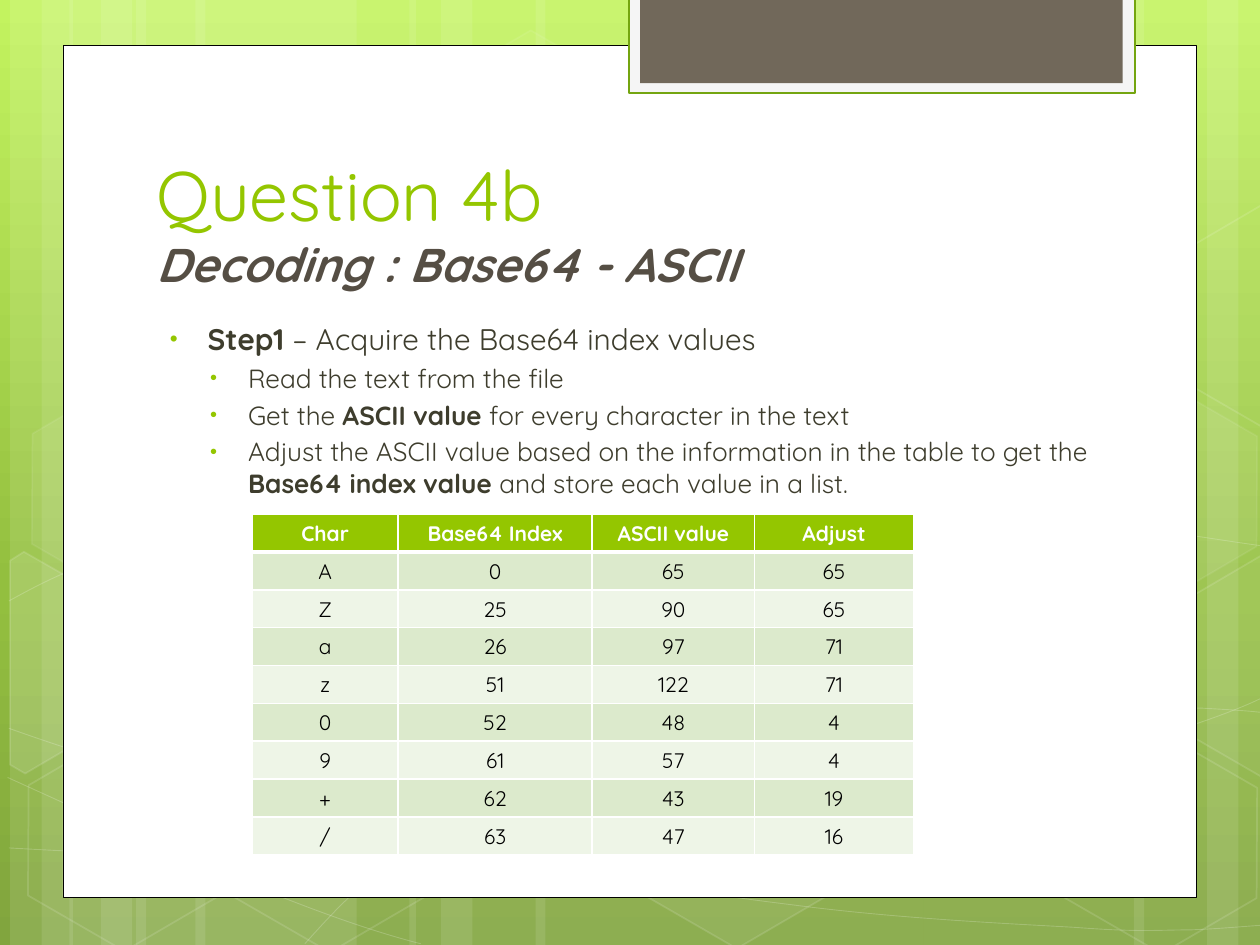
from lxml.etree import SubElement
from pptx import Presentation
from pptx.dml.color import RGBColor
from pptx.enum.shapes import MSO_SHAPE
from pptx.enum.text import MSO_ANCHOR, PP_ALIGN
from pptx.oxml.ns import qn
from pptx.util import Inches, Pt

FONT = "Quicksand"
HUE = {
    "white": "FFFFFF", "black": "000000", "lime": "94C600", "edge": "74A510",
    "pale": "F5F5F5", "tab": "71685A", "sub": "554E44", "body": "3E3D2D",
    "odd": "DCEACC", "even": "EEF5E7",
    "top": "C3F35F", "mid": "93BF3F", "base": "81A53E",
}
BARS = [(1.08, 1.75), (0.08, 0.5), (0.33, 0.83), (1.55, 1.75), (0.55, 0.5), (0.8, 0.83),
        (7.33, 1.75), (9.58, 0.5), (9, 0.83), (4.25, 3.08), (3.25, 0.5), (3.5, 0.83)]
WAVES = [
    ([(0.07, 6.73), (0.61, 6.76), (1.15, 6.79), (1.9, 6.78), (2.65, 6.77), (3.58, 6.75),
      (4.58, 6.65), (5.58, 6.55), (7, 6.36), (7.92, 6.17), (8.83, 5.98), (9.77, 5.68),
      (10.07, 5.51)], None),
    ([(0.07, 4.77), (0.36, 4.61), (0.65, 4.46), (1.21, 4.31), (1.78, 4.16), (2.59, 3.94),
      (3.47, 3.87), (4.36, 3.8), (5.44, 3.79), (6.54, 3.87), (7.64, 3.95), (9.47, 4.26),
      (10.07, 4.34)], None),
    ([(0.06, 6.17), (1.27, 6.72), (2.47, 7.27), (3.34, 7.49)], None),
    ([(0.07, 5.78), (0.38, 5.89), (0.7, 6), (1.28, 6.16), (1.86, 6.31), (2.73, 6.56),
      (3.57, 6.73), (4.4, 6.9), (5.45, 7.08), (6.28, 7.18), (7.11, 7.29), (8, 7.33),
      (8.53, 7.36), (9.05, 7.4), (9.19, 7.38), (9.45, 7.38), (9.71, 7.37), (9.89, 7.35),
      (10.07, 7.34)], None),
    ([(2.42, 7.49), (2.6, 7.29), (2.78, 7.09), (3.02, 6.91), (3.26, 6.73), (3.6, 6.53),
      (3.88, 6.39), (4.16, 6.25), (4.33, 6.19), (4.7, 6.09), (5.06, 5.99), (5.73, 5.85),
      (6.08, 5.78), (6.44, 5.71), (6.49, 5.71), (6.8, 5.69), (7.11, 5.66), (7.6, 5.63),
      (7.94, 5.62), (8.29, 5.61), (8.86, 5.62), (8.86, 5.62), (9.53, 5.62), (9.71, 5.63),
      (9.88, 5.64), (9.97, 5.65), (10.06, 5.66), (10.03, 5.65), (10.06, 5.66)], 21),
]
CELLS = [(3.34, 0.36, 4, 8), (4.97, 5.89, 6, 12), (0.11, 5.91, None, 12),
         (0.14, 3.12, 7, 8), (1.74, 5.92, None, 12), (7.53, 4.53, 10, 12),
         (8.34, 5.93, None, 12), (8.34, 3.14, 7, 8)]
PARTS = [
    ([(0.08, 4.45), (0.19, 4.38), (0.96, 4.82), (0.95, 5.7), (0.2, 6.14), (0.08, 6.07)], 10),
    ([(9.26, 4.85), (10.01, 4.41), (10.09, 4.46), (10.09, 6.13), (10.02, 6.17),
      (9.26, 5.73)], 4),
    ([(9.26, 2.07), (10.01, 1.63), (10.1, 1.68), (10.09, 3.35), (10.02, 3.39),
      (9.26, 2.95)], None),
]
POINTS = [
    (0, [("Step1", True), (" – Acquire the Base64 index values", False)]),
    (1, [("Read the text from the file", False)]),
    (1, [("Get the ", False), ("ASCII value ", True),
         ("for every character in the text", False)]),
    (1, [("Adjust the ASCII value based on the information in the table to get the ", False),
         ("Base64 index value ", True), ("and store each value in a list.", False)]),
]
ROWS = [
    ("Char", "Base64 Index", "ASCII value", "Adjust"),
    ("A", "0", "65", "65"), ("Z", "25", "90", "65"),
    ("a", "26", "97", "71"), ("z", "51", "122", "71"),
    ("0", "52", "48", "4"), ("9", "61", "57", "4"),
    ("+", "62", "43", "19"), ("/", "63", "47", "16"),
]


def tone(name):
    return RGBColor.from_string(HUE[name])


def fade(fill, alpha):
    node = fill._xPr.find(qn("a:solidFill"))[0]
    SubElement(node, qn("a:alpha"), val=str(alpha * 1000))


def style(shape, fill=None, alpha=None, line=None, width=1, clear=None):
    shape.shadow.inherit = False
    if fill:
        shape.fill.solid()
        shape.fill.fore_color.rgb = tone(fill)
        if alpha:
            fade(shape.fill, alpha)
    else:
        shape.fill.background()
    if line:
        shape.line.color.rgb = tone(line)
        shape.line.width = Pt(width)
        if clear:
            fade(shape.line.fill, clear)
    else:
        shape.line.fill.background()


def block(slide, kind, box, **look):
    shape = slide.shapes.add_shape(kind, *map(Inches, box))
    style(shape, **look)
    return shape


def write(para, text, size=12, hue="black", bold=False, slant=False):
    run = para.add_run()
    run.text = text
    font = run.font
    font.name, font.size, font.bold, font.italic = FONT, Pt(size), bold, slant
    font.color.rgb = tone(hue)


def frame(slide, box, anchor):
    text = slide.shapes.add_textbox(*map(Inches, box)).text_frame
    text.word_wrap = True
    text.vertical_anchor = anchor
    return text


def trace(slide, box, dots, close, **look):
    spots = [(Inches(box[0] + x), Inches(box[1] + y)) for x, y in dots]
    form = slide.shapes.build_freeform(*spots[0])
    form.add_line_segments(spots[1:], close=close)
    shape = form.convert_to_shape()
    style(shape, **look)
    return shape


def bend(shape, flat):
    lines = list(shape._element.iter(qn("a:lnTo")))
    at = 0
    while at < len(lines):
        if at == flat:
            at += 1
            continue
        first, *rest = lines[at:at + 3]
        first.tag = qn("a:cubicBezTo")
        for line in rest:
            first.append(line[0])
            line.getparent().remove(line)
        at += 3


def sky(slide):
    slide.background.fill.gradient()
    slide.background.fill.gradient_angle = 270
    stops = slide._element.find(".//" + qn("a:gsLst"))
    for old in list(stops):
        stops.remove(old)
    for name, place in (("top", 0), ("mid", 62), ("base", 100)):
        stop = SubElement(stops, qn("a:gs"), pos=str(place * 1000))
        SubElement(stop, qn("a:srgbClr"), val=HUE[name])


def decor(slide, box):
    x, y, w, h = box
    for left, width in BARS:
        block(slide, MSO_SHAPE.RECTANGLE, (x + left, y, width, h), fill="white", alpha=10)
    for knots, flat in WAVES:
        bend(trace(slide, box, knots, False, line="white", width=0.5, clear=20), flat)
    for left, top, alpha, clear in CELLS:
        cell = block(slide, MSO_SHAPE.HEXAGON, (x + left, y + top, 1.75, 1.52),
                     fill=alpha and "white", alpha=alpha, line="white", clear=clear)
        cell.adjustments[0] = 0.285
        cell.rotation = 30
    for dots, alpha in PARTS:
        trace(slide, box, dots, True, fill=alpha and "white", alpha=alpha,
              line="white", clear=12)


def panel(slide, box):
    x, y, w, h = box
    rect = MSO_SHAPE.RECTANGLE
    block(slide, rect, box, fill="white", line="black", width=0.5)
    block(slide, rect, (x + 4.49, y - 0.38, 4.02, 0.76), fill="pale", line="edge", width=1.25)
    block(slide, rect, (x + 4.58, y - 0.38, 3.83, 0.68), fill="tab")


def title(slide, box):
    para = frame(slide, box, MSO_ANCHOR.BOTTOM).paragraphs[0]
    write(para, "Question 4b", size=40, hue="lime")
    para.add_line_break()
    write(para, "Decoding : Base64 - ASCII", size=27, hue="sub", bold=True, slant=True)


def bullet(para, left):
    props = para._p.get_or_add_pPr()
    props.set("marL", str(Inches(left)))
    props.set("indent", str(Inches(-0.3)))
    SubElement(SubElement(props, qn("a:buClr")), qn("a:srgbClr"), val=HUE["lime"])
    SubElement(props, qn("a:buSzPct"), val="76000")
    SubElement(props, qn("a:buFont"), typeface="Arial")
    SubElement(props, qn("a:buChar"), char="•")


def points(slide, box):
    text = frame(slide, box, MSO_ANCHOR.TOP)
    for i, (level, runs) in enumerate(POINTS):
        para = text.add_paragraph() if i else text.paragraphs[0]
        para.level = level
        para.space_before = Pt((3.4, 3)[level])
        bullet(para, (0.38, 0.7)[level])
        for words, bold in runs:
            write(para, words, size=(17, 15)[level], hue="body", bold=bold)


def border(cell, base):
    props = cell._tc.get_or_add_tcPr()
    for i, (side, width) in enumerate((("L", 1), ("R", 1), ("T", 1), ("B", base))):
        line = SubElement(props, qn("a:ln" + side), w=str(Pt(width)))
        SubElement(SubElement(line, qn("a:solidFill")), qn("a:srgbClr"), val=HUE["white"])
        props.insert(i, line)


def grid(slide, box):
    host = slide.shapes.add_table(len(ROWS), len(ROWS[0]), *map(Inches, box))
    table = host.table
    for col, width in zip(table.columns, (1.16, 1.54, 1.29, 1.26)):
        col.width = Inches(width)
    for r, row in enumerate(ROWS):
        table.rows[r].height = Inches(0.23 if r else 0.24)
        for c, words in enumerate(row):
            cell = table.cell(r, c)
            cell.fill.solid()
            cell.fill.fore_color.rgb = tone(("even", "odd")[r % 2] if r else "lime")
            border(cell, 1 if r else 3)
            para = cell.text_frame.paragraphs[0]
            para.alignment = PP_ALIGN.CENTER
            write(para, words, hue="black" if r else "white", bold=r == 0)
    host.height = Inches(box[3])


def main():
    deck = Presentation()
    deck.slide_width, deck.slide_height = Inches(10), Inches(7.5)
    slide = deck.slides.add_slide(deck.slide_layouts[6])
    sky(slide)
    decor(slide, (0, 0, 10, 7.5))
    panel(slide, (0.5, 0.36, 9, 6.76))
    title(slide, (1.14, 1.12, 7.68, 1.25))
    points(slide, (1.17, 2.5, 7.75, 3.84))
    grid(slide, (2, 4.08, 5.25, 2.7))
    deck.save("out.pptx")


if __name__ == "__main__":
    main()
